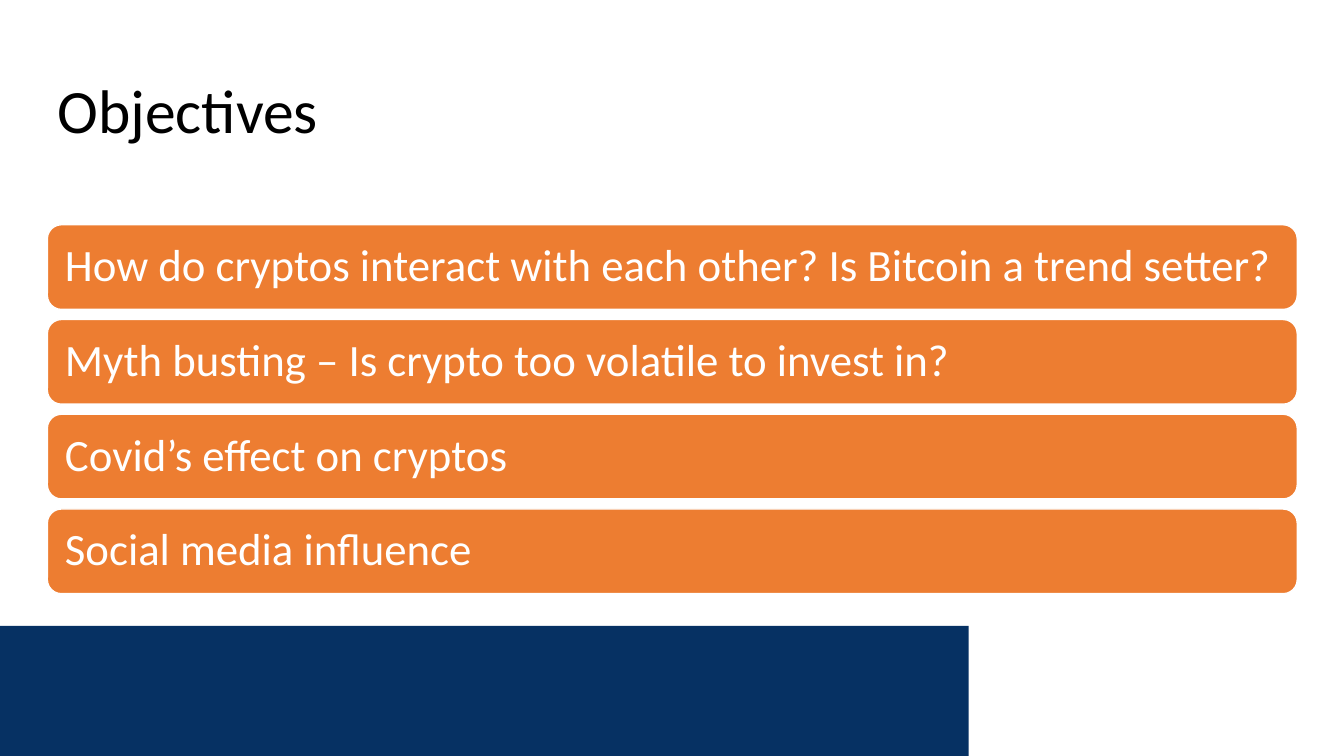
from dataclasses import dataclass

from pptx import Presentation
from pptx.dml.color import RGBColor
from pptx.enum.shapes import MSO_SHAPE as Preset
from pptx.enum.text import MSO_ANCHOR as Anchor, PP_ALIGN as Align
from pptx.shapes.autoshape import Shape
from pptx.slide import Slide
from pptx.util import Pt

COLOURS = {"navy": "063163", "orange": "ED7D31", "white": "FFFFFF", "black": "000000"}
LEFT, WIDTH = 33.84, 892.8
BAR_TOP, BAR_HEIGHT, BAR_PITCH = 160.56, 60.48, 67.68
OBJECTIVES = [
    "How do cryptos interact with each other? Is Bitcoin a trend setter?",
    "Myth busting – Is crypto too volatile to invest in?",
    "Covid’s effect on cryptos",
    "Social media influence",
]


@dataclass(frozen=True)
class Area:
    left: float
    top: float
    width: float
    height: float

    def lengths(self) -> tuple[Pt, Pt, Pt, Pt]:
        return Pt(self.left), Pt(self.top), Pt(self.width), Pt(self.height)


@dataclass(frozen=True)
class Label:
    text: str
    size: float
    colour: str
    side_inset: float
    end_inset: float


def colour(name: str) -> RGBColor:
    return RGBColor.from_string(COLOURS[name])


def write_label(box: Shape, label: Label) -> None:
    frame = box.text_frame
    frame_format = {
        "word_wrap": True,
        "vertical_anchor": Anchor.MIDDLE,
        "margin_left": Pt(label.side_inset),
        "margin_right": Pt(label.side_inset),
        "margin_top": Pt(label.end_inset),
        "margin_bottom": Pt(label.end_inset),
    }
    for name, value in frame_format.items():
        setattr(frame, name, value)
    para = frame.paragraphs[0]
    para.alignment = Align.LEFT
    para.line_spacing = 0.9
    span = para.add_run()
    span.text = label.text
    for name, value in {"name": "Calibri", "size": Pt(label.size)}.items():
        setattr(span.font, name, value)
    span.font.color.rgb = colour(label.colour)


def add_block(page: Slide, preset: Preset, area: Area, fill: str) -> Shape:
    block = page.shapes.add_shape(preset, *area.lengths())
    block.shadow.inherit = False
    block.fill.solid()
    block.fill.fore_color.rgb = colour(fill)
    block.line.fill.background()
    return block


def add_objective(page: Slide, index: int, text: str) -> None:
    area = Area(LEFT, BAR_TOP + index * BAR_PITCH, WIDTH, BAR_HEIGHT)
    bar = add_block(page, Preset.ROUNDED_RECTANGLE, area, "orange")
    bar.line.color.rgb = colour("white")
    bar.line.width = Pt(1)
    write_label(bar, Label(text, 32, "white", 9.6, 9.6))


def main() -> None:
    deck = Presentation()
    deck.slide_width, deck.slide_height = Pt(960), Pt(540)
    page = deck.slides.add_slide(deck.slide_layouts[6])

    add_block(page, Preset.RECTANGLE, Area(0, 447.12, 691.92, 92.88), "navy")
    title = page.shapes.add_textbox(*Area(LEFT, 28.8, WIDTH, 104.4).lengths())
    write_label(title, Label("Objectives", 44, "black", 7.2, 3.6))
    for index, text in enumerate(OBJECTIVES):
        add_objective(page, index, text)

    deck.save("out.pptx")


if __name__ == "__main__":
    main()
